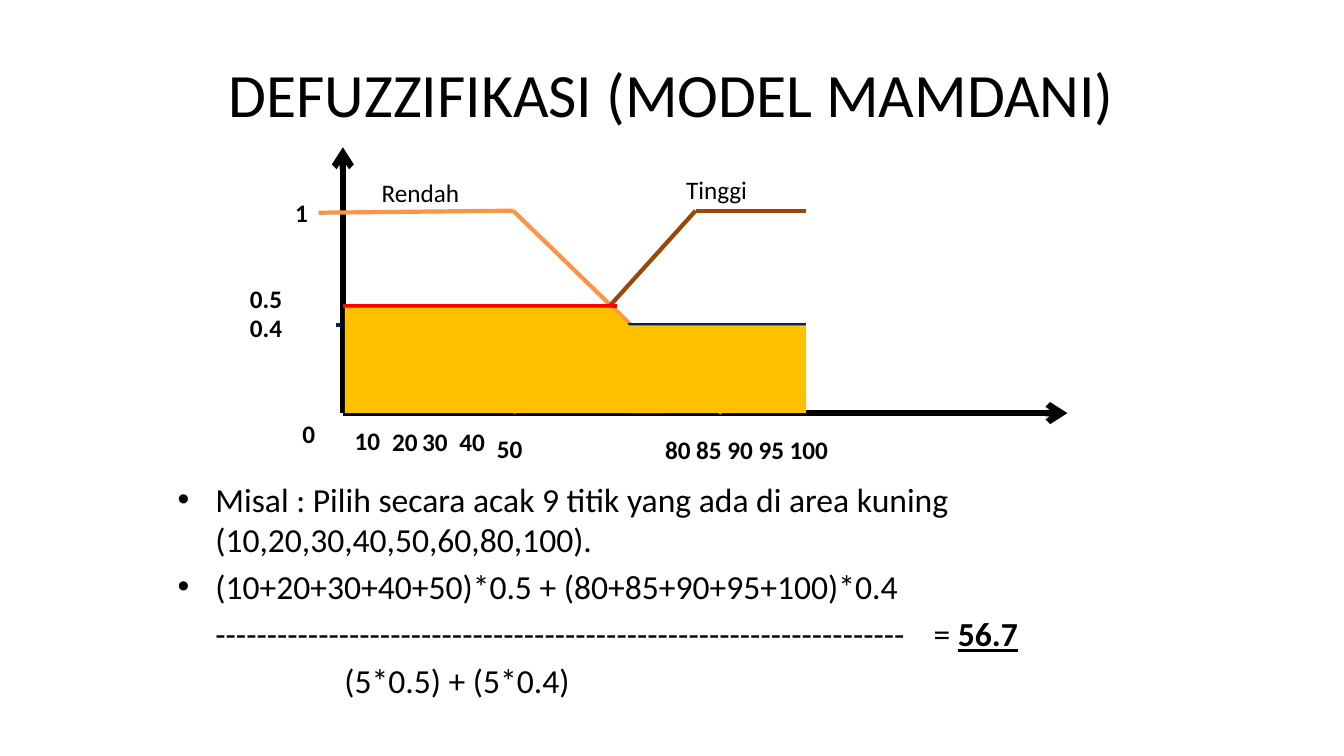
from lxml import etree
from pptx import Presentation
from pptx.dml.color import RGBColor
from pptx.enum.dml import MSO_LINE
from pptx.enum.shapes import MSO_CONNECTOR, MSO_SHAPE
from pptx.enum.text import MSO_ANCHOR, PP_ALIGN
from pptx.oxml.ns import qn
from pptx.util import Cm, Pt

STRAIGHT = MSO_CONNECTOR.STRAIGHT
DOTTED = MSO_LINE.ROUND_DOT
SNIP, RECT = MSO_SHAPE.SNIP_1_RECTANGLE, MSO_SHAPE.RECTANGLE
TOP, MIDDLE = MSO_ANCHOR.TOP, MSO_ANCHOR.MIDDLE
LEFT, CENTER = PP_ALIGN.LEFT, PP_ALIGN.CENTER
FONT = "Calibri"
COLORS = {"black": "000000", "orange": "F79646", "brown": "984807",
          "red": "FF0000", "navy": "002060", "gold": "FFC000"}

# Chart levels, in cm
ZERO_X, ZERO_Y = 8.64, 10.41
ONE_Y, HALF_Y, LOW_Y = 5.31, 7.72, 8.2
END_X = 20.32


def color(name):
    return RGBColor.from_string(COLORS[name])


def add_run(para, text, size, bold=False, under=False):
    run = para.add_run()
    run.text = text
    font = run.font
    font.name, font.size = FONT, Pt(size)
    font.bold, font.underline = bold, under
    font.color.rgb = color("black")


def add_box(slide, x, y, w, h, anchor=TOP, wrap=True):
    frame = slide.shapes.add_textbox(Cm(x), Cm(y), Cm(w), Cm(h)).text_frame
    frame.word_wrap = wrap
    frame.vertical_anchor = anchor
    return frame


def add_label(slide, text, x, y, w, bold=True):
    frame = add_box(slide, x, y, w, 1.02, wrap=False)
    add_run(frame.paragraphs[0], text, 18, bold)


def add_line(slide, start, end, hue, width=3, arrow=False, dash=None):
    line = slide.shapes.add_connector(
        STRAIGHT, *(Cm(v) for v in (*start, *end)))
    line.line.color.rgb = color(hue)
    line.line.width = Pt(width)
    if dash:
        line.line.dash_style = dash
    if arrow:
        etree.SubElement(line.line._get_or_add_ln(), qn("a:tailEnd"),
                         type="arrow")
    etree.SubElement(line._element.spPr, qn("a:effectLst"))


def add_area(slide, kind, x, y, w, h):
    area = slide.shapes.add_shape(kind, Cm(x), Cm(y), Cm(w), Cm(h))
    area.shadow.inherit = False
    area.fill.solid()
    area.fill.fore_color.rgb = color("gold")
    area.line.fill.background()
    return area


def set_indent(para, margin, first, bullet=False, tab=None):
    props = para._p.get_or_add_pPr()
    props.set("marL", str(Cm(margin)))
    props.set("indent", str(Cm(first)))
    if bullet:
        etree.SubElement(props, qn("a:buFont"), typeface="Arial")
        etree.SubElement(props, qn("a:buChar"), char="•")
    else:
        etree.SubElement(props, qn("a:buNone"))
    if tab:
        tabs = etree.SubElement(props, qn("a:tabLst"))
        etree.SubElement(tabs, qn("a:tab"), pos=str(Cm(tab)), algn="l")


def add_title(slide):
    para = add_box(slide, 1.69, 0.76, 30.48, 3.18, MIDDLE).paragraphs[0]
    para.alignment = CENTER
    add_run(para, "DEFUZZIFIKASI (MODEL MAMDANI)", 44)


def add_body(slide):
    frame = add_box(slide, 4.23, 11.94, 25.4, 5.05)
    bullet = {"margin": 0.95, "first": -0.95, "bullet": True}
    rows = [
        (bullet, ["Misal : Pilih secara acak 9 titik yang ada di area kuning "
                  "(10,20,30,40,50,60,80,100)."]),
        (bullet, ["(10+20+30+40+50)*0.5 + (80+85+90+95+100)*0.4"]),
        ({"margin": 0, "first": 0.95, "tab": 18.9},
         ["-" * 67 + "\t= ", "56.7"]),
        ({"margin": 4.2, "first": 0}, ["(5*0.5) + (5*0.4)"]),
    ]
    for i, (indent, parts) in enumerate(rows):
        para = frame.add_paragraph() if i else frame.paragraphs[0]
        para.alignment = LEFT
        if i:
            para.space_before = Pt(4.8)
        set_indent(para, **indent)
        for part in parts:
            result = part == "56.7"
            add_run(para, part, 24, result, result)


def add_axes(slide):
    zero = (ZERO_X, ZERO_Y)
    for end in ((ZERO_X, 3.71), (26.9, ZERO_Y)):
        add_line(slide, zero, end, "black", 4.5, arrow=True)


def add_curves(slide):
    # Membership curves
    peak, foot = (12.93, ONE_Y), (12.93, ZERO_Y)
    bend = (17.53, ONE_Y)
    add_line(slide, (8.03, 5.36), peak, "orange")
    add_line(slide, peak, (18.19, ZERO_Y), "orange")
    add_line(slide, bend, foot, "brown")
    add_line(slide, (END_X, ONE_Y), bend, "brown")
    # Cut levels
    mid = (14.63, LOW_Y)
    add_line(slide, (ZERO_X, HALF_Y), (15.54, HALF_Y), "red")
    add_line(slide, mid, (END_X, LOW_Y), "navy")
    add_line(slide, (8.48, LOW_Y), mid, "navy", dash=DOTTED)


def add_areas(slide):
    snip = add_area(slide, SNIP, 8.69, 7.75, 8.05, 2.66)
    snip.adjustments[0] = 0.5
    add_area(slide, RECT, 15.88, LOW_Y, 4.44, 2.21)


def add_labels(slide):
    for text, x, y, w in (("Rendah", 9.37, 4.34, 2.49),
                          ("Tinggi", 17.04, 4.27, 2.06)):
        add_label(slide, text, x, y, w, bold=False)
    for text, x, y, w in (
            ("0", 7.37, 10.41, 0.84), ("1", 7.19, 4.85, 0.84),
            ("0.5", 6.05, 7.01, 1.32), ("0.4", 6.05, 7.75, 1.32),
            ("10", 8.69, 10.59, 1.17), ("20", 9.63, 10.62, 1.17),
            ("30", 10.39, 10.62, 1.17), ("40", 11.33, 10.62, 1.17),
            ("50", 12.27, 10.8, 1.17),
            ("80 85 90 95 100", 16.51, 10.82, 4.67)):
        add_label(slide, text, x, y, w)


def main():
    prs = Presentation()
    prs.slide_width, prs.slide_height = Cm(33.87), Cm(19.05)
    slide = prs.slides.add_slide(prs.slide_layouts[6])
    add_title(slide)
    add_body(slide)
    add_axes(slide)
    add_curves(slide)
    add_areas(slide)
    add_labels(slide)
    prs.save("out.pptx")


if __name__ == "__main__":
    main()
